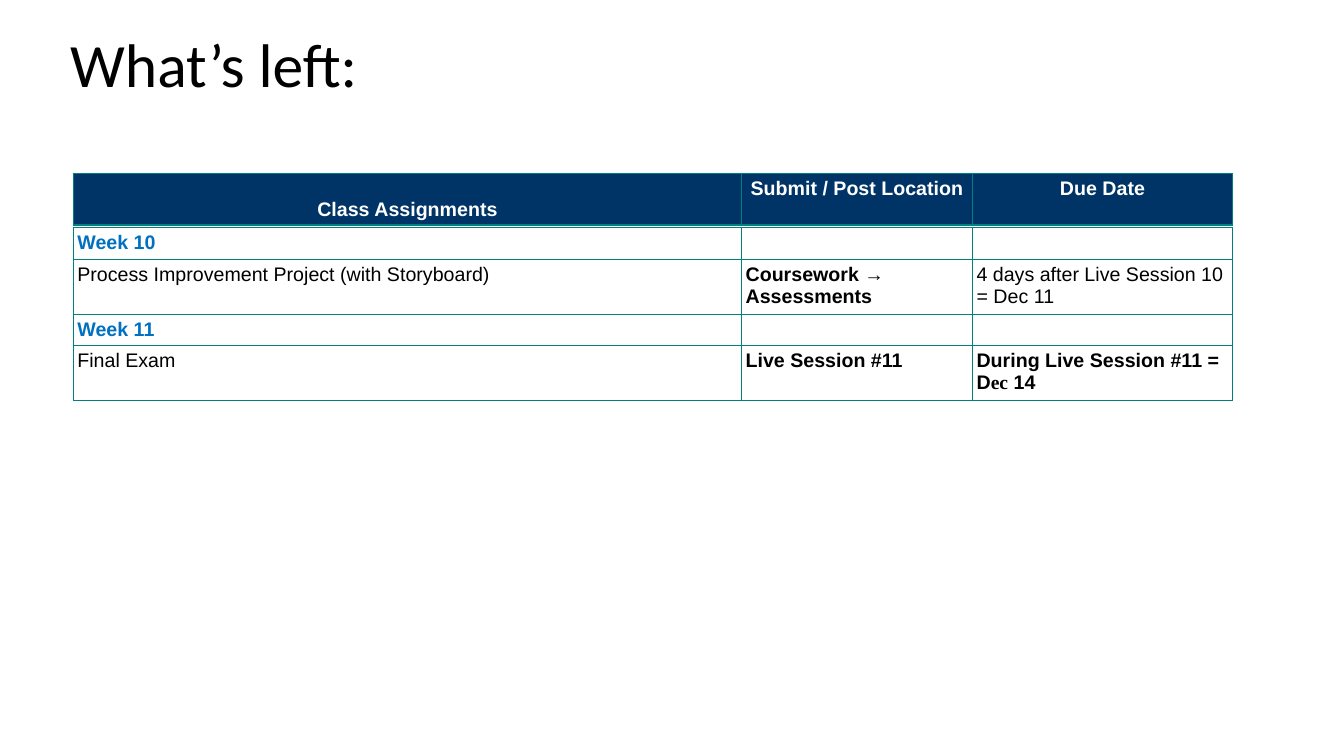
from lxml import etree
from pptx import Presentation
from pptx.dml.color import RGBColor
from pptx.enum.text import MSO_ANCHOR, PP_ALIGN
from pptx.oxml.ns import qn
from pptx.util import Cm, Pt

MIDDLE, TOP, BOTTOM = MSO_ANCHOR.MIDDLE, MSO_ANCHOR.TOP, MSO_ANCHOR.BOTTOM
LEFT, CENTER = PP_ALIGN.LEFT, PP_ALIGN.CENTER
COLORS = {"black": "000000", "white": "FFFFFF", "navy": "003366",
          "teal": "008080", "blue": "0070C0"}
COLUMN_WIDTHS = (16.84, 5.82, 6.55)
WEEK_HEIGHT, TASK_HEIGHT = 0.74, 1.3


class ScheduleSlide:
    """Draws the title and schedule tables in one shared style."""

    def __init__(self, slide):
        self.slide = slide

    def style(self, paragraph, size, font_name, color, bold=False):
        font = paragraph.font
        font.size, font.name, font.bold = Pt(size), font_name, bold
        font.color.rgb = RGBColor.from_string(COLORS[color])

    def title(self, text, left, top, width, height):
        box = self.slide.shapes.add_textbox(Cm(left), Cm(top), Cm(width), Cm(height))
        frame = box.text_frame
        frame.word_wrap = True
        frame.vertical_anchor = MIDDLE
        heading = frame.paragraphs[0]
        heading.text = text
        heading.line_spacing = 0.9
        self.style(heading, 44, "Calibri", "black")

    def border(self, cell):
        properties = cell._tc.get_or_add_tcPr()
        for position, side in enumerate(("lnL", "lnR", "lnT", "lnB")):
            line = etree.Element(qn(f"a:{side}"), w=str(Pt(1)))
            fill = etree.SubElement(line, qn("a:solidFill"))
            etree.SubElement(fill, qn("a:srgbClr"), val=COLORS["teal"])
            properties.insert(position, line)

    def cell(self, cell, runs, color, bold, fill=None, align=LEFT, anchor=TOP):
        cell.margin_left = cell.margin_right = Cm(0.1)
        cell.margin_top = cell.margin_bottom = Cm(0.1)
        cell.vertical_anchor = anchor
        if fill:
            cell.fill.solid()
            cell.fill.fore_color.rgb = RGBColor.from_string(COLORS[fill])
        else:
            cell.fill.background()
        paragraph = cell.text_frame.paragraphs[0]
        paragraph.alignment = align
        self.style(paragraph, 14, "Arial", color, bold)
        for text, font_name in runs:
            run = paragraph.add_run()
            run.text = text
            if font_name:
                run.font.name = font_name
        self.border(cell)

    def table(self, left, top, heights):
        frame = self.slide.shapes.add_table(
            len(heights), len(COLUMN_WIDTHS), Cm(left), Cm(top),
            Cm(sum(COLUMN_WIDTHS)), Cm(sum(heights)))
        table = frame.table
        table.first_row = table.horz_banding = False
        for column, width in zip(table.columns, COLUMN_WIDTHS):
            column.width = Cm(width)
        for row, height in zip(table.rows, heights):
            row.height = Cm(height)
        return table

    def header(self, labels, left, top):
        table = self.table(left, top, [TASK_HEIGHT])
        for index, label in enumerate(labels):
            anchor = TOP if index else BOTTOM
            self.cell(table.cell(0, index), [(label, None)], "white", True,
                      "navy", CENTER, anchor)

    def schedule(self, weeks, left, top):
        table = self.table(left, top, [WEEK_HEIGHT, TASK_HEIGHT] * len(weeks))
        for index, (week, task, location, due, due_bold) in enumerate(weeks):
            for column, runs in enumerate(([(week, None)], [], [])):
                self.cell(table.cell(2 * index, column), runs, "blue", True)
            details = (([(task, None)], False), ([(location, None)], True), (due, due_bold))
            for column, (runs, bold) in enumerate(details):
                self.cell(table.cell(2 * index + 1, column), runs, "black", bold)


def main():
    presentation = Presentation()
    presentation.slide_width, presentation.slide_height = Cm(33.87), Cm(19.05)
    page = ScheduleSlide(presentation.slides.add_slide(presentation.slide_layouts[6]))
    page.title("What’s left:", 1.52, -0.13, 29.21, 3.68)
    page.header(("Class Assignments", "Submit / Post Location", "Due Date"), 1.85, 4.37)
    page.schedule((
        ("Week 10", "Process Improvement Project (with Storyboard)",
         "Coursework → Assessments",
         [("4 days after Live Session 10 = Dec 11", None)], False),
        ("Week 11", "Final Exam", "Live Session #11",
         [("During Live Session #11 = D", None), ("ec", "Times New Roman"),
          (" 14", None)], True),
    ), 1.85, 5.74)
    presentation.save("out.pptx")


if __name__ == "__main__":
    main()
